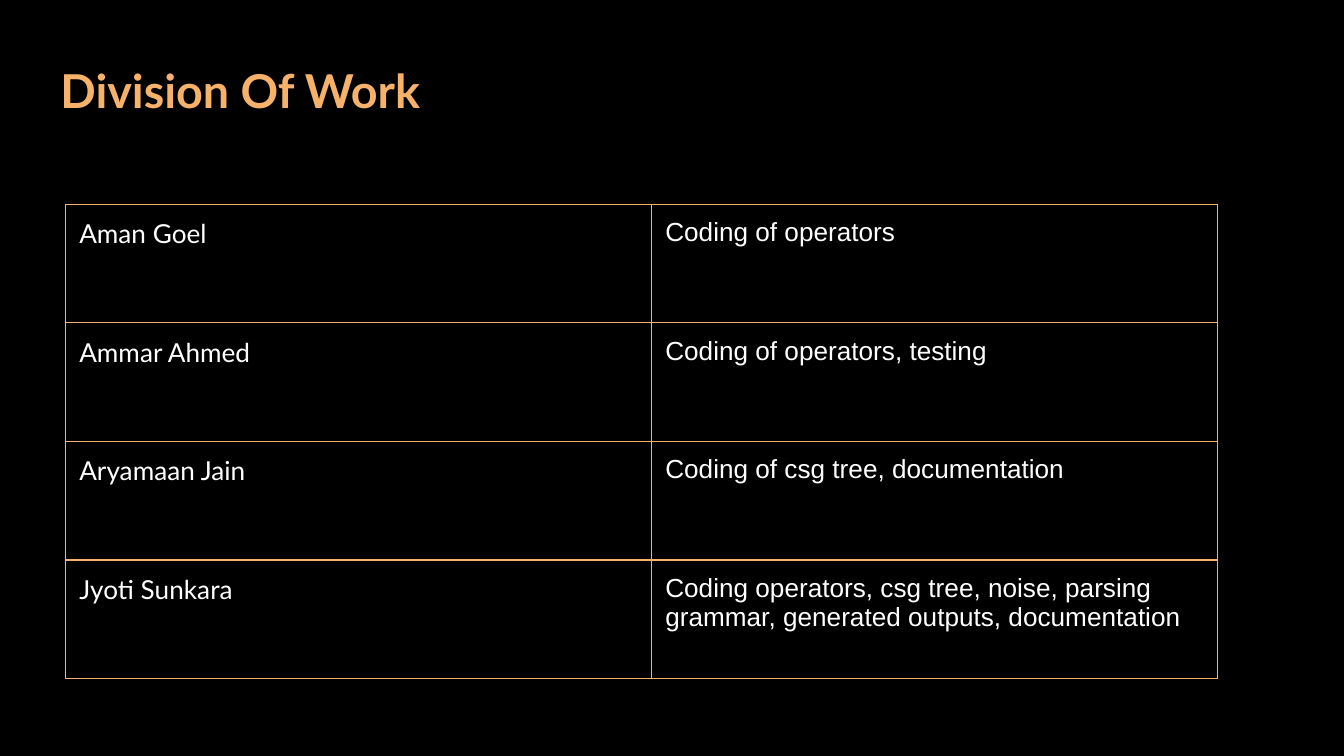
from dataclasses import dataclass

from lxml import etree
from pptx import Presentation
from pptx.dml.color import RGBColor
from pptx.enum import text
from pptx.oxml import ns
from pptx.util import Inches, Pt


@dataclass(frozen=True)
class Theme:
    background: RGBColor = RGBColor(0, 0, 0)
    accent: RGBColor = RGBColor(0xF6, 0xB2, 0x6B)
    body: RGBColor = RGBColor(255, 255, 255)
    title_size: int = 25
    body_size: int = 14
    border_width: float = 0.75
    title_font: str = "Lato"
    column_fonts: tuple = ("Lato", "Arial")


THEME = Theme()
COLUMN_WIDTHS = (4.36, 4.21)
TABLE_HEIGHT = 3.53
ASSIGNMENTS = (
    ("Aman Goel", "Coding of operators"),
    ("Ammar Ahmed", "Coding of operators, testing"),
    ("Aryamaan Jain", "Coding of csg tree, documentation"),
    ("Jyoti Sunkara", "Coding operators, csg tree, noise, parsing grammar, "
                      "generated outputs, documentation"),
)


def style_paragraph(paragraph, font_name, size, color, bold=False):
    paragraph.alignment = text.PP_ALIGN.LEFT
    font = paragraph.font
    font.name = font_name
    font.size = Pt(size)
    font.bold = bold
    font.color.rgb = color


def set_margins(box):
    box.margin_left = box.margin_right = Inches(0.1)
    box.margin_top = box.margin_bottom = Inches(0.1)
    box.vertical_anchor = text.MSO_ANCHOR.TOP


def add_title(slide, wording):
    title = slide.shapes.title
    title.left, title.top = Inches(0.35), Inches(0.36)
    title.width, title.height = Inches(3.75), Inches(0.52)
    frame = title.text_frame
    frame.text = wording
    frame.word_wrap = True
    frame.auto_size = text.MSO_AUTO_SIZE.NONE
    set_margins(frame)
    style_paragraph(frame.paragraphs[0], THEME.title_font, THEME.title_size,
                    THEME.accent, bold=True)


def add_borders(cell):
    properties = cell._tc.get_or_add_tcPr()
    for position, side in enumerate(("lnL", "lnR", "lnT", "lnB")):
        line = etree.Element(ns.qn(f"a:{side}"), w=str(Pt(THEME.border_width)))
        fill = etree.SubElement(line, ns.qn("a:solidFill"))
        etree.SubElement(fill, ns.qn("a:srgbClr"), val=str(THEME.accent))
        properties.insert(position, line)


def fill_cell(cell, wording, font_name):
    cell.text = wording
    cell.fill.background()
    set_margins(cell)
    style_paragraph(cell.text_frame.paragraphs[0], font_name,
                    THEME.body_size, THEME.body)
    add_borders(cell)


def add_assignment_table(slide):
    table = slide.shapes.add_table(
        len(ASSIGNMENTS), len(COLUMN_WIDTHS), Inches(0.49), Inches(1.52),
        Inches(sum(COLUMN_WIDTHS)), Inches(TABLE_HEIGHT)).table
    table.first_row = table.horz_banding = False
    for column, width in zip(table.columns, COLUMN_WIDTHS):
        column.width = Inches(width)
    for row, wordings in zip(table.rows, ASSIGNMENTS):
        row.height = Inches(TABLE_HEIGHT / len(ASSIGNMENTS))
        for cell, wording, font_name in zip(row.cells, wordings,
                                            THEME.column_fonts):
            fill_cell(cell, wording, font_name)


def main():
    presentation = Presentation()
    presentation.slide_width = Inches(10)
    presentation.slide_height = Inches(10 * 9 / 16)
    slide = presentation.slides.add_slide(presentation.slide_layouts[5])
    background = slide.background.fill
    background.solid()
    background.fore_color.rgb = THEME.background
    add_title(slide, "Division Of Work")
    add_assignment_table(slide)
    presentation.save("out.pptx")


if __name__ == "__main__":
    main()
